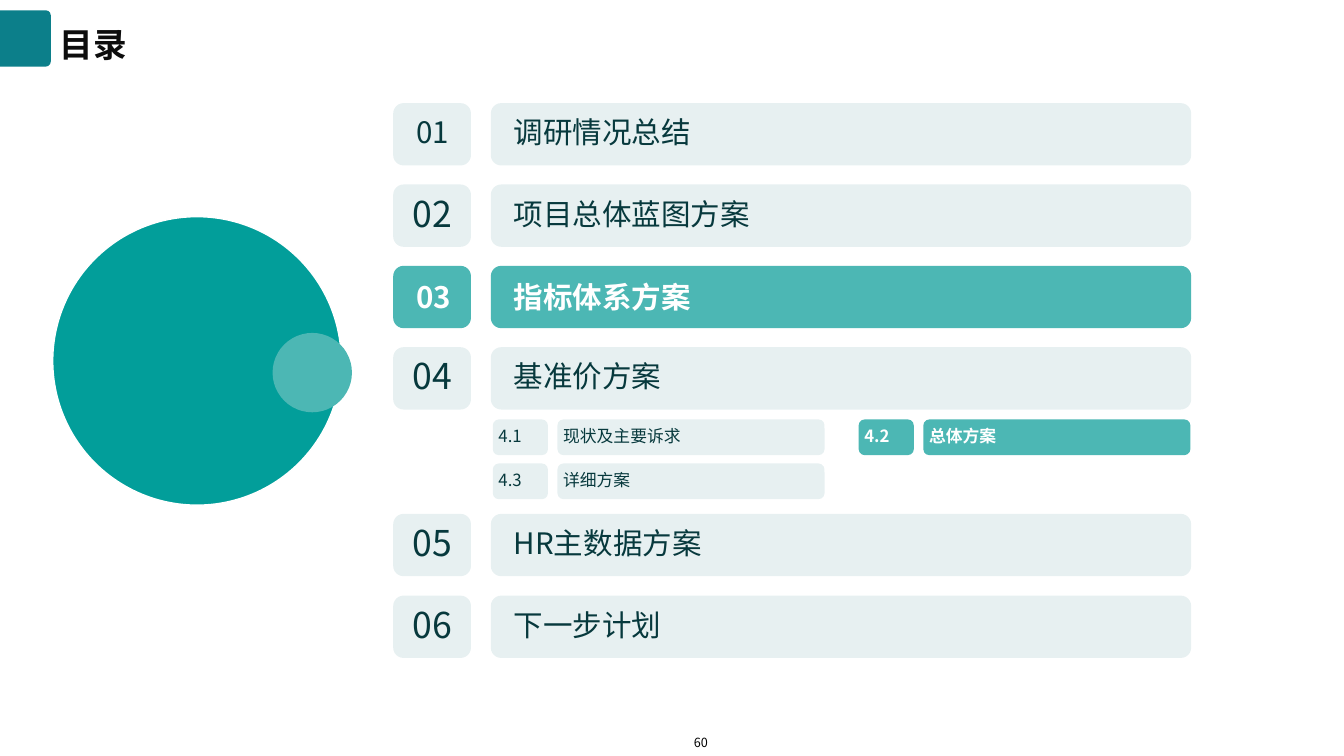
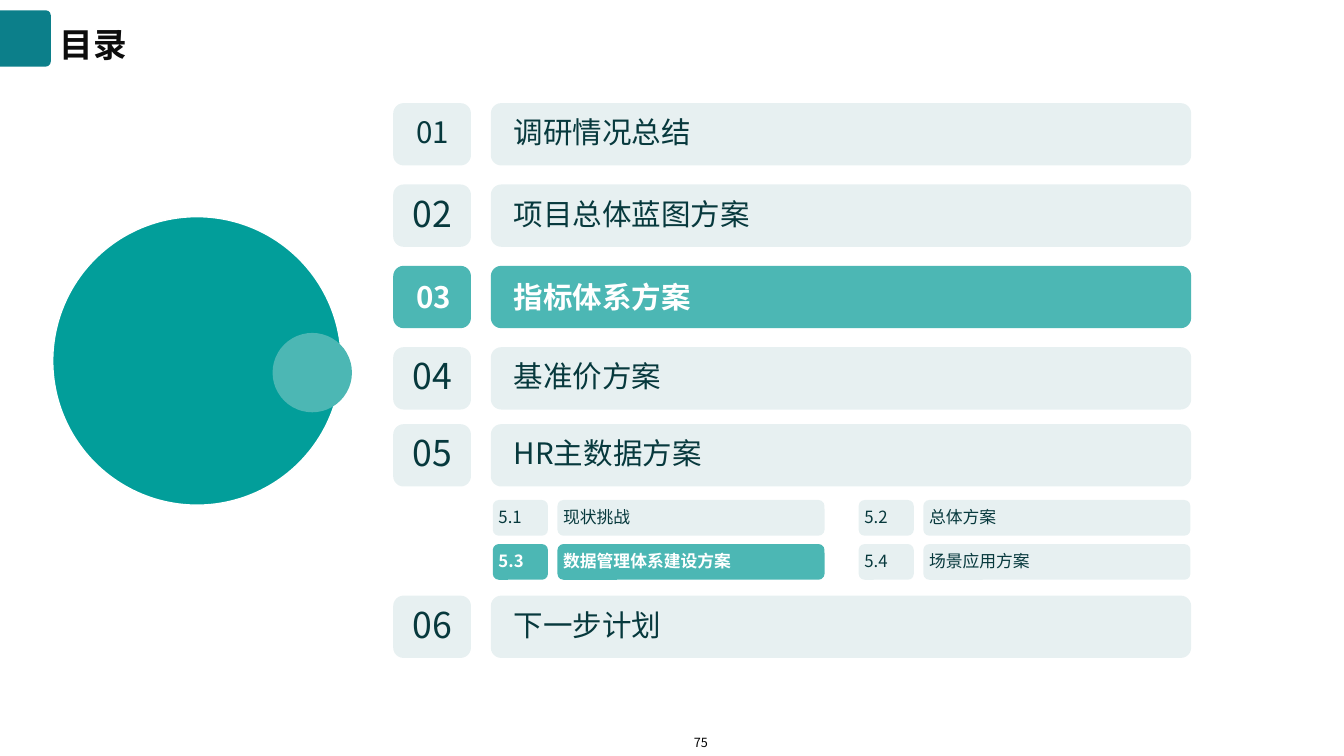
"""Builds two agenda slides that share a frame, a circle motif and a list of chapters."""
from lxml import etree
from pptx import Presentation
from pptx import util as u
from pptx.dml.color import RGBColor
from pptx.enum import shapes, text
from pptx.oxml.ns import qn

FONT = "Noto Sans CJK SC"
TITLE = "目录"
CHAPTERS = ["调研情况总结", "项目总体蓝图方案", "指标体系方案",
            "基准价方案", "HR主数据方案", "下一步计划"]
ACTIVE_CHAPTER = 3
SMALL_NUMBERS = (1, 3)

SLIDES = [
    {"page": "60", "tops": [2.6, 4.65, 6.7, 8.75, 12.95, 15.01],
     "open": 4, "active": 2, "sections_top": 10.57,
     "sections": ["现状及主要诉求", "总体方案", "详细方案"]},
    {"page": "75", "tops": [2.6, 4.65, 6.7, 8.75, 10.69, 15.01],
     "open": 5, "active": 3, "sections_top": 12.6,
     "sections": ["现状挑战", "总体方案", "数据管理体系建设方案", "场景应用方案"]},
]

TAB, DISC, ACCENT, PALE = "0C7F8A", "029E9A", "4CB7B4", "1A757E"
INK, WHITE, TITLE_INK, BLACK = "07393D", "FFFFFF", "0D0D0D", "000000"

NUMBER_X, NUMBER_W, LABEL_X, LABEL_W, ROW_H = 9.91, 1.96, 12.37, 17.65, 1.57
SECTION_X, SECTION_DX, SECTION_DY, SECTION_H = 12.42, 9.22, 1.11, 0.9
SECTION_NUMBER_W, SECTION_LABEL_DX, SECTION_LABEL_W = 1.39, 1.63, 6.73
ROW_INSETS = (0.5, 0.1, 0.18, 0.1)
SECTION_INSETS = (0.1, 0.1, 0.18, 0.1)
NO_INSETS = (0, 0, 0, 0)


def rgb(value):
    """Turn a hex string into a colour."""
    return RGBColor.from_string(value)


def write(sp, content, size, color, bold=False, center=False, insets=NO_INSETS,
          spacing=1.0, wrap=True, anchor=text.MSO_ANCHOR.MIDDLE):
    """Put one formatted paragraph into a shape."""
    tf = sp.text_frame
    tf.text = content
    tf.word_wrap = wrap
    tf.vertical_anchor = anchor
    tf.margin_left, tf.margin_top, tf.margin_right, tf.margin_bottom = map(u.Cm, insets)
    p = tf.paragraphs[0]
    p.alignment = text.PP_ALIGN.CENTER if center else text.PP_ALIGN.LEFT
    p.line_spacing = spacing
    for r in p.runs:
        r.font.size, r.font.bold, r.font.name = u.Pt(size), bold, FONT
        r.font.color.rgb = rgb(color)
        etree.SubElement(r.font._element, qn("a:ea"), typeface=FONT)


def add_shape(parent, kind, box, fill, alpha=None):
    """Add a flat, filled preset shape without an outline."""
    sp = parent.add_shape(kind, *map(u.Cm, box))
    sp.shadow.inherit = False
    sp.fill.solid()
    sp.fill.fore_color.rgb = rgb(fill)
    sp.line.fill.background()
    if alpha is not None:
        color = sp._element.spPr.find(".//" + qn("a:srgbClr"))
        etree.SubElement(color, qn("a:alpha"), val=str(alpha * 1000))
    return sp


def add_tile(s, box, content, active, size, **style):
    """Add a rounded tile, highlighted when active."""
    sp = add_shape(s.shapes, shapes.MSO_SHAPE.ROUNDED_RECTANGLE, box,
                   ACCENT if active else PALE, None if active else 10)
    write(sp, content, size, WHITE if active else INK, bold=active, **style)


def add_frame(s, page):
    """Draw the corner tab, title, page number and circles."""
    tab = add_shape(s.shapes, shapes.MSO_SHAPE.ROUND_2_SAME_RECTANGLE,
                    (-0.07, 0.33, 1.42, 1.28), TAB)
    tab.rotation = 90
    tab.adjustments[0] = 0.1
    title = s.shapes.add_textbox(*map(u.Cm, (1.5, 0.25, 29.51, 1.42)))
    write(title, TITLE, 24, TITLE_INK, bold=True, spacing=1.3)
    number = s.shapes.add_textbox(*map(u.Cm, (16.89, 18.39, 1.55, 0.64)))
    write(number, page, 9, BLACK, center=True, insets=(0.1, 0.13, 0.1, 0.13),
          anchor=text.MSO_ANCHOR.TOP)
    circles = s.shapes.add_group_shape().shapes
    disc = add_shape(circles, shapes.MSO_SHAPE.OVAL, (1.33, 5.46, 7.27, 7.27), DISC)
    disc.line.color.rgb = rgb(WHITE)
    disc.line.width = u.Pt(1)
    add_shape(circles, shapes.MSO_SHAPE.OVAL, (6.87, 8.39, 2, 2), ACCENT)


def add_chapters(s, tops):
    """Draw a number tile and a label tile for each chapter."""
    for n, (label, top) in enumerate(zip(CHAPTERS, tops), 1):
        active = n == ACTIVE_CHAPTER
        spacing = 1.0 if active else 0.9
        row = {"size": 21.1, "insets": ROW_INSETS}
        large = {"size": 25.4, "center": True, "wrap": False}
        add_tile(s, (LABEL_X, top, LABEL_W, ROW_H), label, active,
                 spacing=spacing, **row)
        add_tile(s, (NUMBER_X, top, NUMBER_W, ROW_H), f"{n:02d}", active,
                 spacing=spacing, **(row if n in SMALL_NUMBERS else large))


def add_sections(s, data):
    """Draw the sections of the open chapter in two columns."""
    for i, label in enumerate(data["sections"]):
        row, col = divmod(i, 2)
        x = SECTION_X + col * SECTION_DX
        y = data["sections_top"] + row * SECTION_DY
        tiles = [(x, SECTION_NUMBER_W, f"{data['open']}.{i + 1}"),
                 (x + SECTION_LABEL_DX, SECTION_LABEL_W, label)]
        for left, width, content in tiles:
            add_tile(s, (left, y, width, SECTION_H), content, i + 1 == data["active"],
                     12, insets=SECTION_INSETS, spacing=0.9)


def main():
    """Build and save the deck."""
    prs = Presentation()
    prs.slide_width, prs.slide_height = u.Cm(33.87), u.Cm(19.05)
    for data in SLIDES:
        s = prs.slides.add_slide(prs.slide_layouts[6])
        add_frame(s, data["page"])
        add_chapters(s, data["tops"])
        add_sections(s, data)
    prs.save("out.pptx")


if __name__ == "__main__":
    main()
